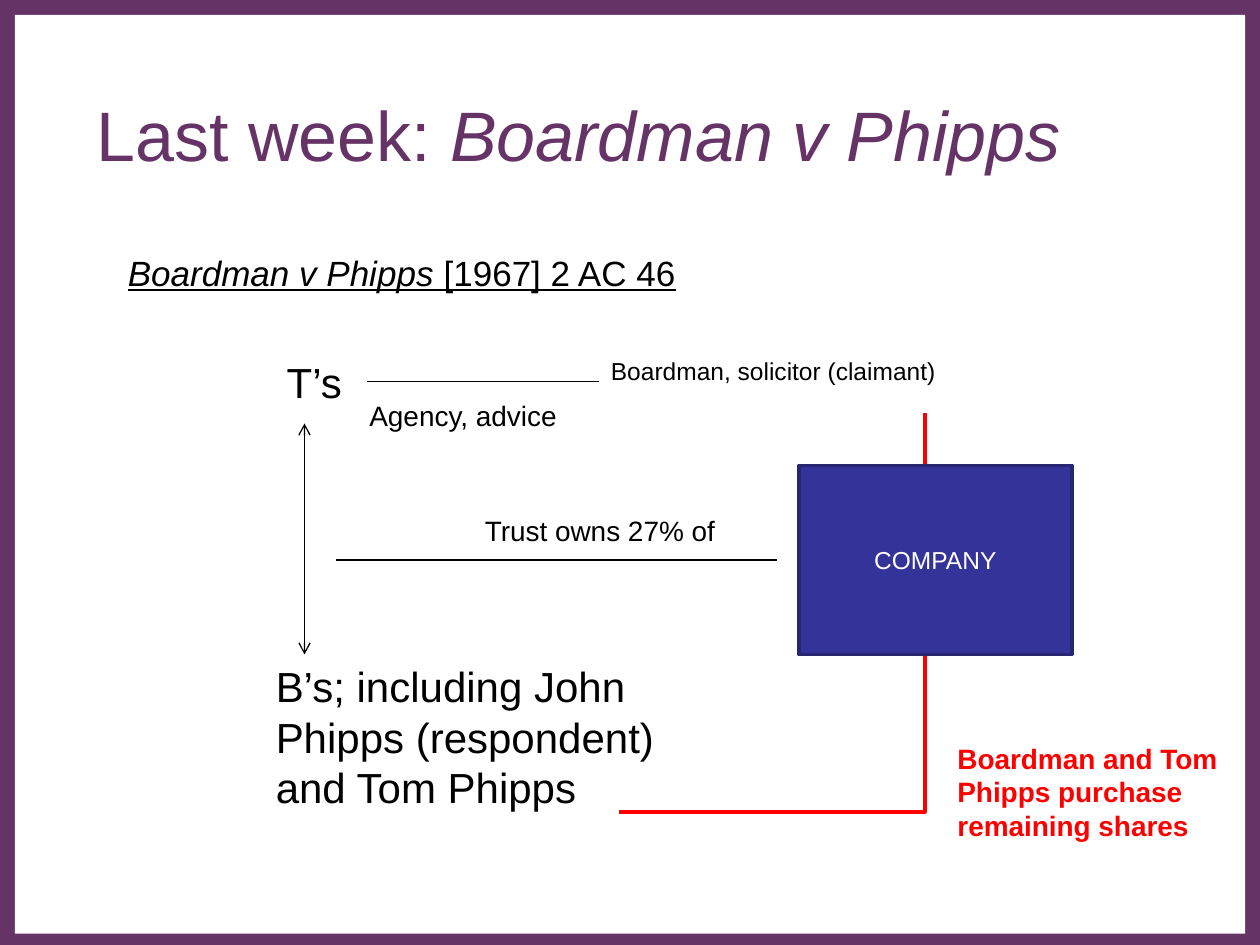
from pptx import Presentation
from pptx.dml.color import RGBColor
from pptx.enum.shapes import MSO_CONNECTOR, MSO_SHAPE
from pptx.enum.text import MSO_ANCHOR, MSO_AUTO_SIZE, PP_ALIGN
from pptx.oxml.ns import qn
from pptx.util import Pt
from lxml.etree import SubElement

PURPLE, BLACK, WHITE, RED = "663366", "000000", "FFFFFF", "FF0000"
BLUE, DARK_BLUE = "333399", "262671"


def color(value):
    """Turn a hex string into a colour."""
    return RGBColor.from_string(value)


class SlideBuilder:
    """Hold the style and the current slide."""

    font = "Arial"

    def __init__(self, slide):
        self.slide = slide

    def format_run(self, run, size, value, bold=False, italic=False, underline=False):
        """Apply the font settings to one run."""
        run.font.name = self.font
        run.font.size = Pt(size)
        run.font.color.rgb = color(value)
        run.font.bold = bold
        run.font.italic = italic
        run.font.underline = underline

    def title(self, plain, italic, left, top, width, height):
        """Place the title above the frame, with its second part in italics."""
        title = self.slide.shapes.title
        self.slide.shapes._spTree.append(title._element)
        title.left, title.top, title.width, title.height = map(Pt, (left, top, width, height))
        title.text_frame.vertical_anchor = MSO_ANCHOR.MIDDLE
        paragraph = title.text_frame.paragraphs[0]
        paragraph.alignment = PP_ALIGN.LEFT
        for text, slanted in ((plain, False), (italic, True)):
            run = paragraph.add_run()
            run.text = text
            self.format_run(run, 40, PURPLE, italic=slanted)

    def rectangle(self, left, top, width, height, fill, line=None, text=None):
        """Draw a filled rectangle with an optional outline and label."""
        shape = self.slide.shapes.add_shape(MSO_SHAPE.RECTANGLE, *map(Pt, (left, top, width, height)))
        shape.shadow.inherit = False
        shape.fill.solid()
        shape.fill.fore_color.rgb = color(fill)
        if line:
            shape.line.color.rgb = color(line)
            shape.line.width = Pt(2)
        else:
            shape.line.fill.background()
        if text:
            shape.text_frame.text = text
            shape.text_frame.vertical_anchor = MSO_ANCHOR.MIDDLE
            paragraph = shape.text_frame.paragraphs[0]
            paragraph.alignment = PP_ALIGN.CENTER
            self.format_run(paragraph.runs[0], 14, WHITE)

    def text(self, text, left, top, width, height, size, value=BLACK, bold=False):
        """Add a wrapping text box that grows with its text."""
        box = self.slide.shapes.add_textbox(*map(Pt, (left, top, width, height)))
        box.text_frame.word_wrap = True
        box.text_frame.auto_size = MSO_AUTO_SIZE.SHAPE_TO_FIT_TEXT
        box.text_frame.text = text
        self.format_run(box.text_frame.paragraphs[0].runs[0], size, value, bold)

    def citation(self, case, reference, left, top, width, height):
        """Add the underlined case citation."""
        box = self.slide.shapes.add_textbox(*map(Pt, (left, top, width, height)))
        box.text_frame.word_wrap = True
        paragraph = box.text_frame.paragraphs[0]
        paragraph.space_before = Pt(3.6)
        properties = paragraph._p.get_or_add_pPr()
        properties.set("marL", str(Pt(36)))
        properties.set("indent", str(-Pt(18)))
        for text, slanted in ((case, True), (reference, False)):
            run = paragraph.add_run()
            run.text = text
            self.format_run(run, 20, BLACK, italic=slanted, underline=True)

    def line(self, start, end, arrows=False):
        """Draw a thin straight line, with arrowheads at both ends if asked."""
        connector = self.slide.shapes.add_connector(MSO_CONNECTOR.STRAIGHT, *map(Pt, start + end))
        connector.line.color.rgb = color(BLACK)
        connector.line.width = Pt(0.75)
        if arrows:
            outline = connector.line._get_or_add_ln()
            for tag in ("a:headEnd", "a:tailEnd"):
                SubElement(outline, qn(tag), type="arrow")
        SubElement(connector._element.spPr, qn("a:effectLst"))

    def elbow(self, start, corner, end):
        """Draw an open red path with one corner."""
        builder = self.slide.shapes.build_freeform(*map(Pt, start), scale=1.0)
        builder.add_line_segments([tuple(map(Pt, point)) for point in (corner, end)], close=False)
        shape = builder.convert_to_shape()
        shape.shadow.inherit = False
        shape.fill.background()
        shape.line.color.rgb = color(RED)
        shape.line.width = Pt(2)


def main():
    """Build the slide and save it."""
    presentation = Presentation()
    presentation.slide_width, presentation.slide_height = Pt(720), Pt(540)
    slide = presentation.slides.add_slide(presentation.slide_layouts[5])
    builder = SlideBuilder(slide)

    builder.rectangle(0, 0, 720, 541.5, PURPLE)
    builder.rectangle(8.5, 8.5, 703, 525, WHITE)
    builder.title("Last week: ", "Boardman v Phipps", 48, 31.5, 642, 90)
    builder.citation("Boardman v Phipps", " [1967] 2 AC 46", 48, 140, 612, 300)

    builder.text(" T’s", 150.5, 200, 72, 36.5, 24)
    builder.text("B’s; including John Phipps (respondent) and Tom Phipps", 150.5, 374, 264, 94.5, 24)
    builder.line((174, 242), (174, 374), arrows=True)
    builder.text("Boardman, solicitor (claimant)", 342, 200, 348, 36.5, 14)
    builder.line((192, 320), (444, 320))
    builder.text("Trust owns 27% of", 270, 290, 150, 26.5, 16)
    builder.line((210, 218), (342, 218))
    builder.text("Agency, advice", 204, 224, 180, 26.5, 16)

    builder.elbow((528.5, 236), (528.5, 464), (354, 464))
    builder.rectangle(456.5, 266, 156, 108, BLUE, DARK_BLUE, "COMPANY")
    builder.text("Boardman and Tom Phipps purchase remaining shares", 540, 420, 168, 65.5, 16, RED, True)

    presentation.save("out.pptx")


if __name__ == "__main__":
    main()
